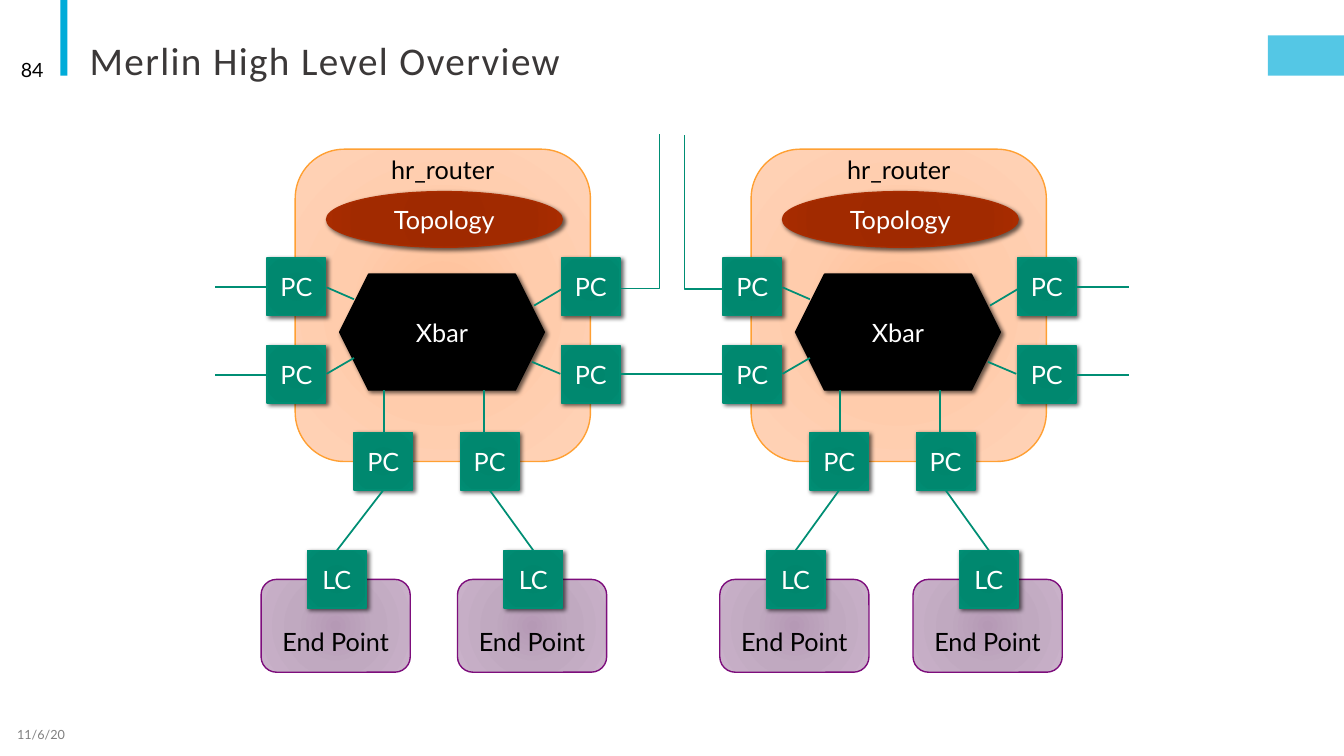
import lxml.etree
import pptx
import pptx.dml.color
import pptx.enum.shapes
import pptx.enum.text
import pptx.oxml
import pptx.oxml.ns
import pptx.util

Cm = pptx.util.Cm
SHAPE = pptx.enum.shapes.MSO_SHAPE
CONNECTOR = pptx.enum.shapes.MSO_CONNECTOR
ALIGN = pptx.enum.text.PP_ALIGN
ANCHOR = pptx.enum.text.MSO_ANCHOR

COLORS = {
    "accent": "00ACD9", "title": "3B3838", "date": "808080",
    "black": "000000", "white": "FFFFFF", "green": "008E74",
    "orange": "FFA033", "rust": "A92C00", "purple": "7D0D7C",
}
GRADIENTS = {
    "port": [(0, "00846C"), (34, "00866D"), (70, "00886F"), (100, "008E74")],
    "topology": [(0, "9D2900"), (34, "9F2900"), (70, "A12A00"), (100, "A92C00")],
    "router": [(0, "FFBF96"), (45, "FFCCAC"), (100, "FFD2B7")],
    "end_point": [(0, "B599B5"), (45, "C0A9C0"), (100, "C9B1C9")],
}
HEADINGS = [
    ("Merlin High Level Overview", (2.01, 0.66, 27.94, 1.57), 28, "Calibri", "title", ALIGN.LEFT, ANCHOR.BOTTOM),
    ("11/6/20", (0.18, 18.01, 6.86, 1.02), 9, "Lato", "date", ALIGN.LEFT, ANCHOR.MIDDLE),
    ("84", (0.18, 1.24, 1.17, 1.02), 14, "Lato", "black", ALIGN.RIGHT, ANCHOR.MIDDLE),
]
ACCENTS = [((1.52, 0, 0.18, 1.91), 100), ((31.95, 0.89, 1.92, 1.02), 67)]

ROUTER_SHIFTS = [0, 11.49]
ROUTER = (7.44, 3.76, 7.44, 7.87)
ROUTER_LABEL = (7.44, 3.87, 7.44, 0.8)
TOPOLOGY = (8.23, 4.83, 5.94, 1.4)
XBAR = (8.56, 6.91, 5.16, 2.92)
PORT_WIDTH, PORT_HEIGHT = 1.48, 1.45
SIDE_PORTS = [(left, top) for left in (6.73, 14.15) for top in (8.71, 6.5)]
LOWER_PORTS = [(8.92, 10.9), (11.6, 10.9)]
XBAR_LINKS = [
    ((8.23, 7.24), (8.92, 7.54)), ((8.23, 9.42), (8.92, 9.02)),
    ((9.68, 10.9), (9.68, 9.83)), ((12.19, 10.9), (12.19, 9.83)),
    ((13.41, 9.12), (14.12, 9.42)), ((13.46, 7.7), (14.15, 7.29)),
]
OUTER_LINKS = [
    ((15.65, 9.42), (18.21, 9.42)),
    ((6.73, 7.24), (5.41, 7.24)), ((6.73, 9.45), (5.41, 9.45)),
    ((28.45, 7.24), (27.13, 7.24)), ((28.45, 9.45), (27.13, 9.45)),
]
BENT_LINKS = [((15.65, 7.27), (16.62, 3.38)), ((18.21, 7.29), (17.25, 3.4))]
END_POINT_LEFTS = [(6.58, 11.53), (18.14, 23.01)]
END_POINT_TOP, END_POINT_WIDTH, END_POINT_HEIGHT = 14.6, 3.76, 2.34
LC_INDENT, LC_TOP = 1.17, 13.87


def rgb(name):
    """Return the named colour."""
    return pptx.dml.color.RGBColor.from_string(COLORS[name])


def write(box, text, size, font, color, align, anchor):
    """Put one run of styled text in a box."""
    frame = box.text_frame
    frame.word_wrap = True
    frame.vertical_anchor = anchor
    para = frame.paragraphs[0]
    para.alignment = align
    span = para.add_run()
    span.text = text
    span.font.size = pptx.util.Pt(size)
    span.font.name = font
    span.font.color.rgb = rgb(color)
    return para, span


def label(box, text, color, anchor=ANCHOR.MIDDLE, bottom=0):
    """Centre a diagram label in a box without side margins."""
    write(box, text, 18, "Lato", color, ALIGN.CENTER, anchor)
    frame = box.text_frame
    frame.margin_left = frame.margin_right = frame.margin_top = 0
    frame.margin_bottom = Cm(bottom)


def add_block(page, kind, area, line, gradient=None, shadow=False):
    """Add an outlined shape with a radial or solid fill."""
    block = page.shapes.add_shape(kind, *map(Cm, area))
    block.line.color.rgb = rgb(line)
    block.line.width = pptx.util.Pt(1)
    block.shadow.inherit = False
    properties = block._element.spPr
    namespace = pptx.oxml.ns.nsdecls("a")
    if gradient:
        stops = "".join(
            f'<a:gs pos="{position * 1000}"><a:srgbClr val="{color}"/></a:gs>'
            for position, color in GRADIENTS[gradient])
        properties.insert(2, pptx.oxml.parse_xml(
            f'<a:gradFill {namespace} rotWithShape="1"><a:gsLst>{stops}</a:gsLst><a:path path="circle">'
            '<a:fillToRect l="100000" t="100000" r="100000" b="100000"/></a:path></a:gradFill>'))
    else:
        block.fill.solid()
        block.fill.fore_color.rgb = rgb(line)
    if shadow:
        properties.find(pptx.oxml.ns.qn("a:effectLst")).append(pptx.oxml.parse_xml(
            f'<a:outerShdw {namespace} blurRad="38100" dist="25400" dir="2700000" rotWithShape="0">'
            f'<a:srgbClr val="{COLORS["black"]}"><a:alpha val="60000"/></a:srgbClr></a:outerShdw>'))
    return block


def add_port(page, left, top, text):
    """Add a green port square."""
    area = (left, top, PORT_WIDTH, PORT_HEIGHT)
    label(add_block(page, SHAPE.RECTANGLE, area, "green", "port", True), text, "white")


def add_link(page, start, end, bent=False):
    """Add a green link, straight or with one corner."""
    kind = CONNECTOR.ELBOW if bent else CONNECTOR.STRAIGHT
    link = page.shapes.add_connector(kind, *map(Cm, start + end))
    link.line.color.rgb = rgb("green")
    link.line.width = pptx.util.Pt(1.25)
    properties = link._element.spPr
    if bent:
        properties.find(pptx.oxml.ns.qn("a:prstGeom")).set("prst", "bentConnector2")
    lxml.etree.SubElement(properties, pptx.oxml.ns.qn("a:effectLst"))


def add_router(page, shift):
    """Add a router with its ports and inner links."""
    def moved(area):
        return (area[0] + shift,) + area[1:]

    add_block(page, SHAPE.ROUNDED_RECTANGLE, moved(ROUTER), "orange", "router")
    label(page.shapes.add_textbox(*map(Cm, moved(ROUTER_LABEL))), "hr_router", "black")
    for port in SIDE_PORTS + LOWER_PORTS:
        add_port(page, *moved(port), "PC")
    label(add_block(page, SHAPE.OVAL, moved(TOPOLOGY), "rust", "topology", True), "Topology", "white")
    label(add_block(page, SHAPE.HEXAGON, moved(XBAR), "black", shadow=True), "Xbar", "white")
    for start, end in XBAR_LINKS:
        add_link(page, moved(start), moved(end))


def add_end_point(page, left, port_left, port_top):
    """Add an end point and link it to its router port."""
    area = (left, END_POINT_TOP, END_POINT_WIDTH, END_POINT_HEIGHT)
    block = add_block(page, SHAPE.ROUNDED_RECTANGLE, area, "purple", "end_point")
    label(block, "End Point", "black", ANCHOR.BOTTOM, 0.29)
    lc_left = left + LC_INDENT
    add_port(page, lc_left, LC_TOP, "LC")
    half = PORT_WIDTH / 2
    add_link(page, (lc_left + half, LC_TOP), (port_left + half, port_top + PORT_HEIGHT))


def main():
    """Build the overview slide."""
    deck = pptx.Presentation()
    deck.slide_width, deck.slide_height = Cm(33.87), Cm(19.05)
    page = deck.slides.add_slide(deck.slide_layouts[6])
    for area, opacity in ACCENTS:
        accent = page.shapes.add_shape(SHAPE.RECTANGLE, *map(Cm, area))
        accent.shadow.inherit = False
        accent.line.fill.background()
        accent.fill.solid()
        accent.fill.fore_color.rgb = rgb("accent")
        if opacity < 100:
            color = accent._element.spPr.find(".//" + pptx.oxml.ns.qn("a:srgbClr"))
            lxml.etree.SubElement(color, pptx.oxml.ns.qn("a:alpha"), val=str(opacity * 1000))
    for text, area, *style in HEADINGS:
        para, span = write(page.shapes.add_textbox(*map(Cm, area)), text, *style)
        if style[0] == 28:
            para.line_spacing = 0.85
            span._r.get_or_add_rPr().set("spc", "100")
    for shift, lefts in zip(ROUTER_SHIFTS, END_POINT_LEFTS):
        add_router(page, shift)
        for left, (port_left, port_top) in zip(lefts, LOWER_PORTS):
            add_end_point(page, left, port_left + shift, port_top)
    for start, end in OUTER_LINKS:
        add_link(page, start, end)
    for start, end in BENT_LINKS:
        add_link(page, start, end, bent=True)
    deck.save("out.pptx")


if __name__ == "__main__":
    main()
